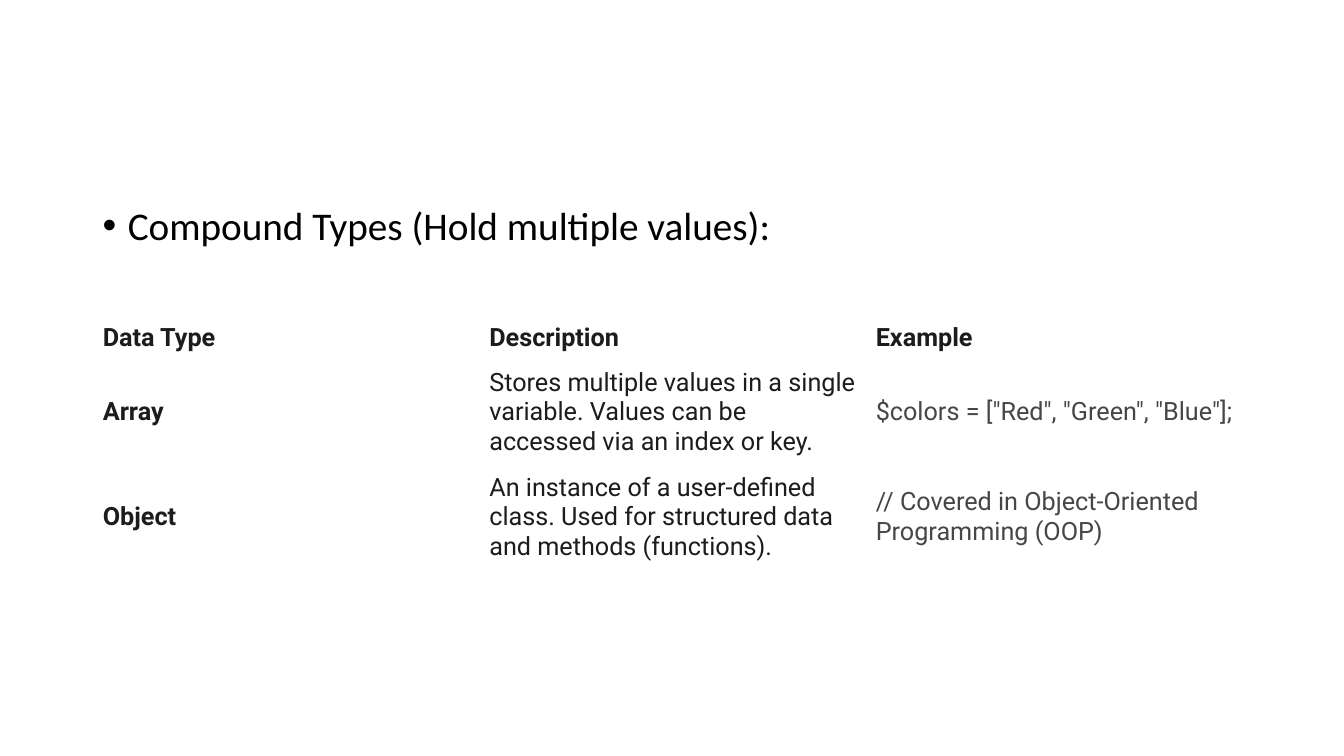
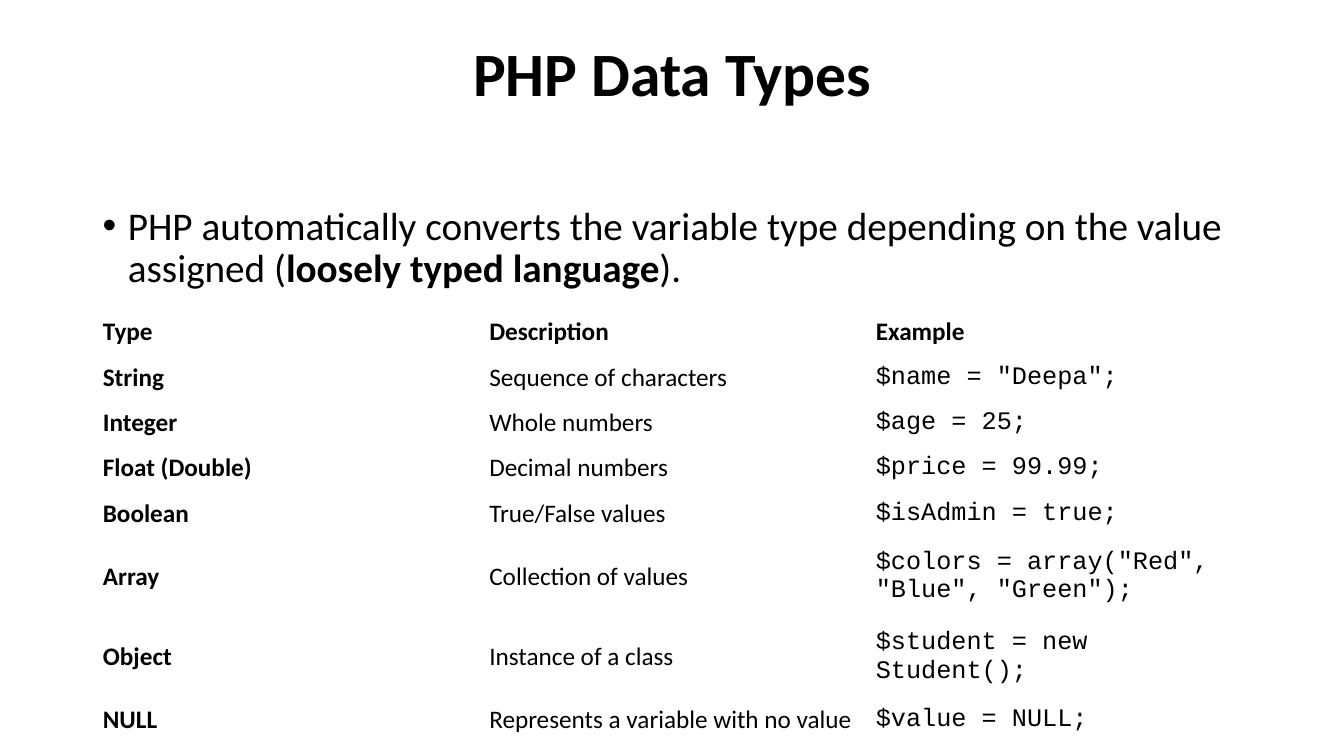
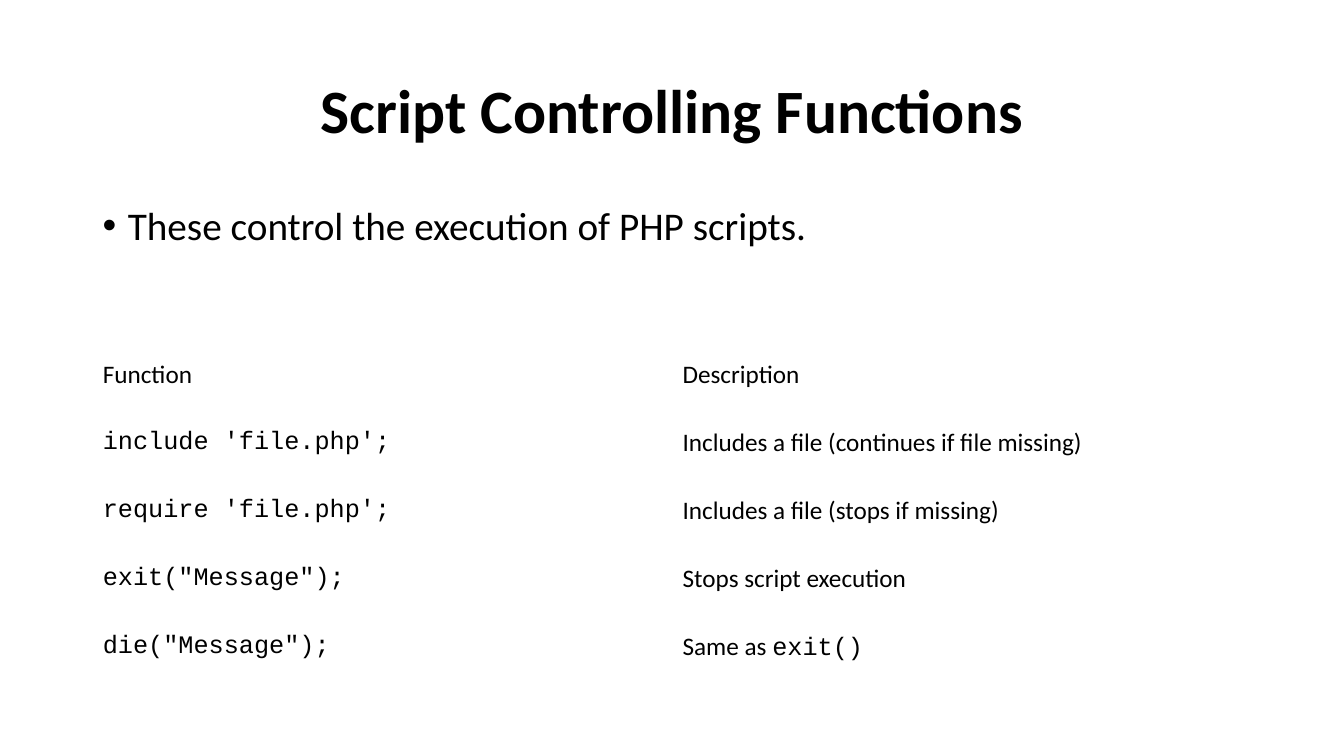
from lxml.etree import SubElement
from pptx import Presentation
from pptx.dml.color import RGBColor
from pptx.enum.text import MSO_ANCHOR, PP_ALIGN
from pptx.oxml.ns import qn
from pptx.util import Inches, Pt

LEFT, WIDTH = 0.92, 11.5
TITLE_ONLY, BLANK = 5, 6

# A text style is (font, size, colour, bold).
TITLE = ("Calibri", 44, "000000", True)
BULLET = ("Calibri", 28, "000000", False)
BULLET_STRONG = ("Calibri", 28, "000000", True)
PLAIN = ("Calibri", 18, "000000", False)
STRONG = ("Calibri", 18, "000000", True)
CODE = ("Courier New", 18, "000000", False)
ROBOTO = ("Roboto", 18, "1B1C1D", False)
ROBOTO_STRONG = ("Roboto", 18, "1B1C1D", True)
ROBOTO_GREY = ("Roboto", 18, "444746", False)

# A cell is a string in its column's style, or a list of (text, style) runs.
SLIDES = [
    {
        "bullet": [("Compound Types (Hold multiple values):", BULLET)],
        "table_top": 3.13,
        "row_heights": [0.43, 1.01, 1.01],
        "cell_margin": 0.07,
        "header_style": ROBOTO_STRONG,
        "column_styles": [ROBOTO_STRONG, ROBOTO, ROBOTO_GREY],
        "rows": [
            ["Data Type", "Description", "Example"],
            ["Array",
             "Stores multiple values in a single variable. "
             "Values can be accessed via an index or key.",
             '$colors = ["Red", "Green", "Blue"];'],
            ["Object",
             "An instance of a user-defined class. "
             "Used for structured data and methods (functions).",
             "// Covered in Object-Oriented Programming (OOP)"],
        ],
    },
    {
        "title": "PHP Data Types",
        "title_bottom_margin": 0.78,
        "bullet": [
            ("PHP automatically converts the variable type depending on "
             "the value assigned (", BULLET),
            ("loosely typed language", BULLET_STRONG),
            (").", BULLET),
        ],
        "table_top": 3.07,
        "row_heights": [0.45] * 5 + [0.8, 0.8, 0.45],
        "header_style": STRONG,
        "column_styles": [STRONG, PLAIN, CODE],
        "rows": [
            ["Type", "Description", "Example"],
            ["String", "Sequence of characters", '$name = "Deepa";'],
            ["Integer", "Whole numbers", "$age = 25;"],
            ["Float (Double)", "Decimal numbers", "$price = 99.99;"],
            ["Boolean", "True/False values", "$isAdmin = true;"],
            ["Array", "Collection of values",
             '$colors = array("Red", "Blue", "Green");'],
            ["Object", "Instance of a class", "$student = new Student();"],
            ["NULL", "Represents a variable with no value", "$value = NULL;"],
        ],
    },
    {
        "title": "Script Controlling Functions",
        "bullet": [("These control the execution of PHP scripts.", BULLET)],
        "table_top": 3.38,
        "row_heights": [0.675] * 5,
        "header_style": PLAIN,
        "column_styles": [CODE, PLAIN],
        "rows": [
            ["Function", "Description"],
            ["include 'file.php';", "Includes a file (continues if file missing)"],
            ["require 'file.php';", "Includes a file (stops if missing)"],
            ['exit("Message");', "Stops script execution"],
            ['die("Message");', [("Same as ", PLAIN), ("exit()", CODE)]],
        ],
    },
]


def add_runs(para, runs):
    for text, (font, size, colour, bold) in runs:
        span = para.add_run()
        span.text = text
        span.font.name = font
        span.font.size = Pt(size)
        span.font.bold = bold
        span.font.color.rgb = RGBColor.from_string(colour)


def set_title(page, text, bottom_margin):
    title = page.shapes.title
    title.left, title.top = Inches(LEFT), Inches(0.4)
    title.width, title.height = Inches(WIDTH), Inches(1.45)
    frame = title.text_frame
    frame.vertical_anchor = MSO_ANCHOR.MIDDLE
    frame.margin_bottom = Inches(bottom_margin)
    para = frame.paragraphs[0]
    para.alignment = PP_ALIGN.CENTER
    para.line_spacing = 0.9
    add_runs(para, [(text, TITLE)])


def add_bullet(page, runs):
    box = page.shapes.add_textbox(
        Inches(LEFT), Inches(2), Inches(WIDTH), Inches(1))
    box.text_frame.word_wrap = True
    para = box.text_frame.paragraphs[0]
    properties = para._p.get_or_add_pPr()
    properties.set("marL", str(Inches(0.25)))
    properties.set("indent", str(Inches(-0.25)))
    SubElement(properties, qn("a:buFont")).set("typeface", "Arial")
    SubElement(properties, qn("a:buChar")).set("char", "•")
    para.line_spacing = 0.9
    add_runs(para, runs)


def add_data_table(page, content):
    rows, heights = content["rows"], content["row_heights"]
    styles = content["column_styles"]
    margin = Inches(content.get("cell_margin", 0.05))
    table = page.shapes.add_table(
        len(rows), len(styles), Inches(LEFT), Inches(content["table_top"]),
        Inches(WIDTH), Inches(sum(heights))).table
    table.first_row = table.horz_banding = False
    for row_index, (row, height) in enumerate(zip(rows, heights)):
        table.rows[row_index].height = Inches(height)
        for column_index, (value, style) in enumerate(zip(row, styles)):
            if row_index == 0:
                style = content["header_style"]
            cell = table.cell(row_index, column_index)
            cell.fill.background()
            cell.vertical_anchor = MSO_ANCHOR.MIDDLE
            cell.margin_top = cell.margin_bottom = margin
            runs = [(value, style)] if isinstance(value, str) else value
            add_runs(cell.text_frame.paragraphs[0], runs)


def main():
    deck = Presentation()
    deck.slide_width, deck.slide_height = Inches(13.33), Inches(7.5)
    for content in SLIDES:
        layout = TITLE_ONLY if "title" in content else BLANK
        page = deck.slides.add_slide(deck.slide_layouts[layout])
        if "title" in content:
            set_title(page, content["title"],
                      content.get("title_bottom_margin", 0.05))
        add_bullet(page, content["bullet"])
        add_data_table(page, content)
    deck.save("out.pptx")


if __name__ == "__main__":
    main()
